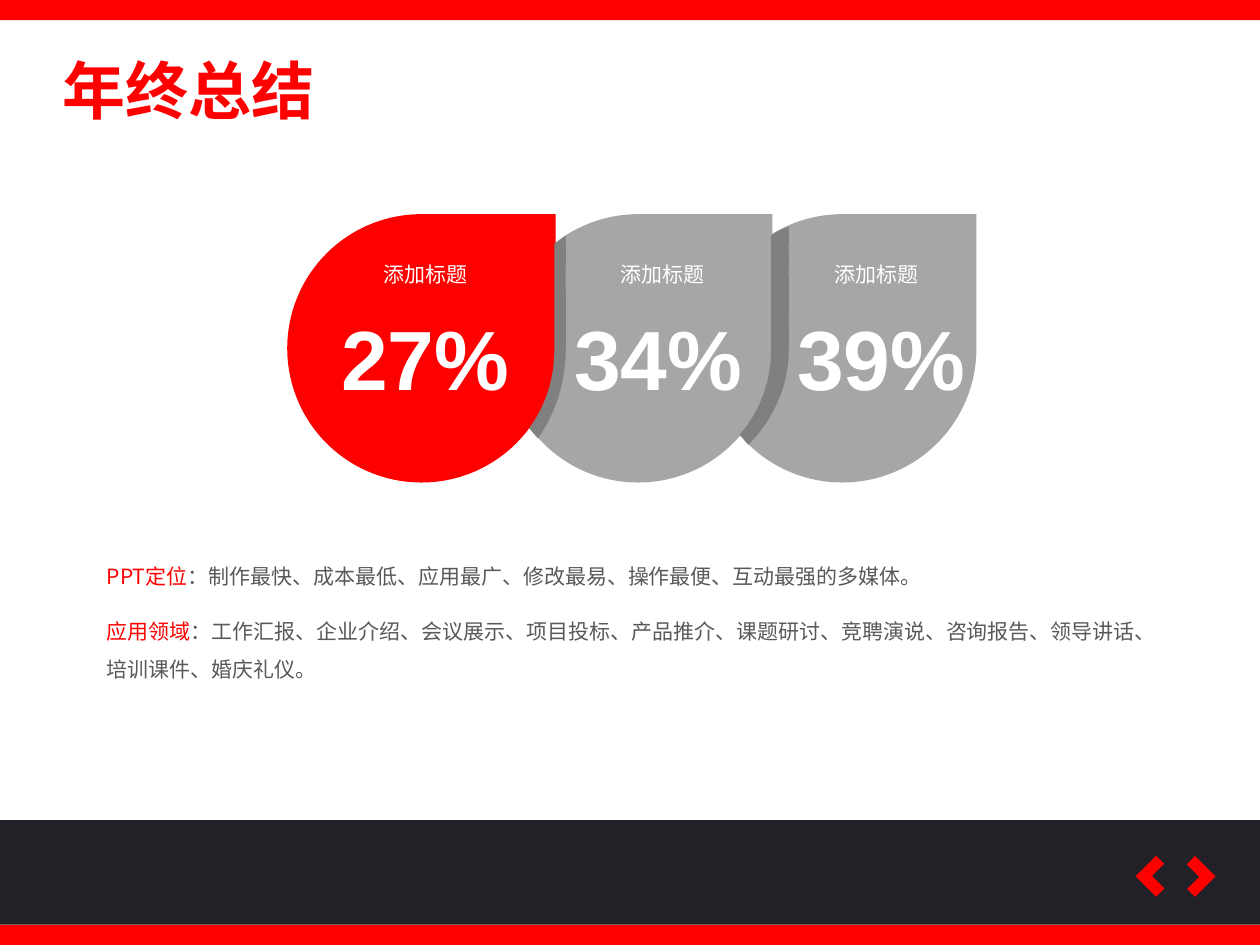
from lxml import etree
from pptx import Presentation
from pptx.dml.color import RGBColor
from pptx.enum.shapes import MSO_SHAPE
from pptx.enum.text import MSO_AUTO_SIZE, PP_ALIGN
from pptx.oxml.ns import qn
from pptx.util import Inches, Pt

RECT, TEAR, CORNER = MSO_SHAPE.RECTANGLE, MSO_SHAPE.TEAR, MSO_SHAPE.CORNER
LEFT, CENTER = PP_ALIGN.LEFT, PP_ALIGN.CENTER
FIT = MSO_AUTO_SIZE.SHAPE_TO_FIT_TEXT
RED = RGBColor(0xFF, 0x00, 0x00)
DARK = RGBColor(0x22, 0x21, 0x27)
GRAY = RGBColor(0xA6, 0xA6, 0xA6)
SHADE = RGBColor(0x80, 0x80, 0x80)
TEXT = RGBColor(0x59, 0x59, 0x59)
WHITE = RGBColor(0xFF, 0xFF, 0xFF)
CJK = "Noto Sans CJK SC"

prs = Presentation()
prs.slide_width, prs.slide_height = Inches(10), Inches(7.5)
s = prs.slides.add_slide(prs.slide_layouts[6])


def add_shape(kind, x, y, w, h, color):
    sp = s.shapes.add_shape(kind, Inches(x), Inches(y), Inches(w), Inches(h))
    sp.shadow.inherit = False
    sp.fill.solid()
    sp.fill.fore_color.rgb = color
    sp.line.fill.background()
    return sp


def add_text(x, y, w, h, runs, size, font=CJK, bold=False, align=LEFT, wrap=True, spacing=1.0):
    tf = s.shapes.add_textbox(Inches(x), Inches(y), Inches(w), Inches(h)).text_frame
    tf.word_wrap = wrap
    tf.auto_size = FIT
    p = tf.paragraphs[0]
    p.alignment = align
    p.line_spacing = spacing
    for text, color in runs:
        r = p.add_run()
        r.text = text
        r.font.size, r.font.bold, r.font.name = Pt(size), bold, font
        r.font.color.rgb = color
        ea = etree.SubElement(r.font._element, qn("a:ea"))
        ea.set("typeface", font)


# Bands at the bottom and top, with the two arrow marks
add_shape(RECT, 0, 7.34, 10, 0.16, RED)
add_shape(RECT, 0, 6.51, 10, 0.83, DARK)
for x, angle in [(9.06, 45), (9.37, 225)]:
    sp = add_shape(CORNER, x, 6.84, 0.23, 0.23, RED)
    sp.adjustments[0], sp.adjustments[1] = 0.41, 0.39
    sp.rotation = angle
add_shape(RECT, 0, 0, 10, 0.16, RED)

# Title
add_text(0.4, 0.36, 2.22, 0.71, [("年终总结", RED)], 36, bold=True, wrap=False)

# Drops, the rightmost at the back
for x, color in [(5.62, GRAY), (4, GRAY), (2.28, RED)]:
    add_shape(TEAR, x, 1.7, 2.13, 2.13, color)

# Shades cast on the next drop: four points for each Bezier curve
shades = [
    [[(6.26, 1.8), (6.26, 1.8), (6.26, 2.78), (6.26, 2.78)],
     [(6.26, 2.78), (6.26, 3.07), (6.13, 3.34), (5.94, 3.53)],
     [(5.87, 3.45), (6.03, 3.27), (6.12, 3.03), (6.12, 2.77)],
     [(6.12, 1.87), (6.16, 1.84), (6.21, 1.82), (6.26, 1.8)]],
    [[(4.49, 1.87), (4.49, 1.87), (4.49, 2.77), (4.49, 2.77)],
     [(4.49, 2.77), (4.49, 3.05), (4.4, 3.29), (4.27, 3.48)],
     [(4.2, 3.4), (4.33, 3.22), (4.4, 3.01), (4.4, 2.77)],
     [(4.4, 1.93), (4.43, 1.92), (4.46, 1.89), (4.49, 1.87)]],
]
STEPS = 12
for curves in shades:
    points = []
    for a, b, c, d in curves:
        for i in range(STEPS + 1):
            t = i / STEPS
            u = 1 - t
            weights = (u ** 3, 3 * u * u * t, 3 * u * t * t, t ** 3)
            points.append(tuple(
                Inches(sum(w * q[axis] for w, q in zip(weights, (a, b, c, d))))
                for axis in (0, 1)))
    builder = s.shapes.build_freeform(*points[0])
    builder.add_line_segments(points[1:], close=True)
    sp = builder.convert_to_shape()
    sp.shadow.inherit = False
    sp.fill.solid()
    sp.fill.fore_color.rgb = SHADE
    sp.line.fill.background()

# Percentages and labels on the drops
for value, value_x, label_x in [("27%", 2.54, 2.83), ("34%", 4.39, 4.71), ("39%", 6.16, 6.41)]:
    add_text(value_x, 2.38, 1.67, 0.91, [(value, WHITE)], 48, "Arial", bold=True, align=CENTER)
    add_text(label_x, 2.03, 1.09, 0.3, [("添加标题", WHITE)], 12, align=CENTER)

# Descriptions
descriptions = [
    (4.32, 6.92, 0.4, "PPT定位", "：制作最快、成本最低、应用最广、修改最易、操作最便、互动最强的多媒体。"),
    (4.76, 8.57, 0.71, "应用领域",
     "：工作汇报、企业介绍、会议展示、项目投标、产品推介、课题研讨、竞聘演说、"
     "咨询报告、领导讲话、培训课件、婚庆礼仪。"),
]
for y, w, h, head, body in descriptions:
    add_text(0.75, y, w, h, [(head, RED), (body, TEXT)], 12, spacing=1.5)

prs.save("out.pptx")
